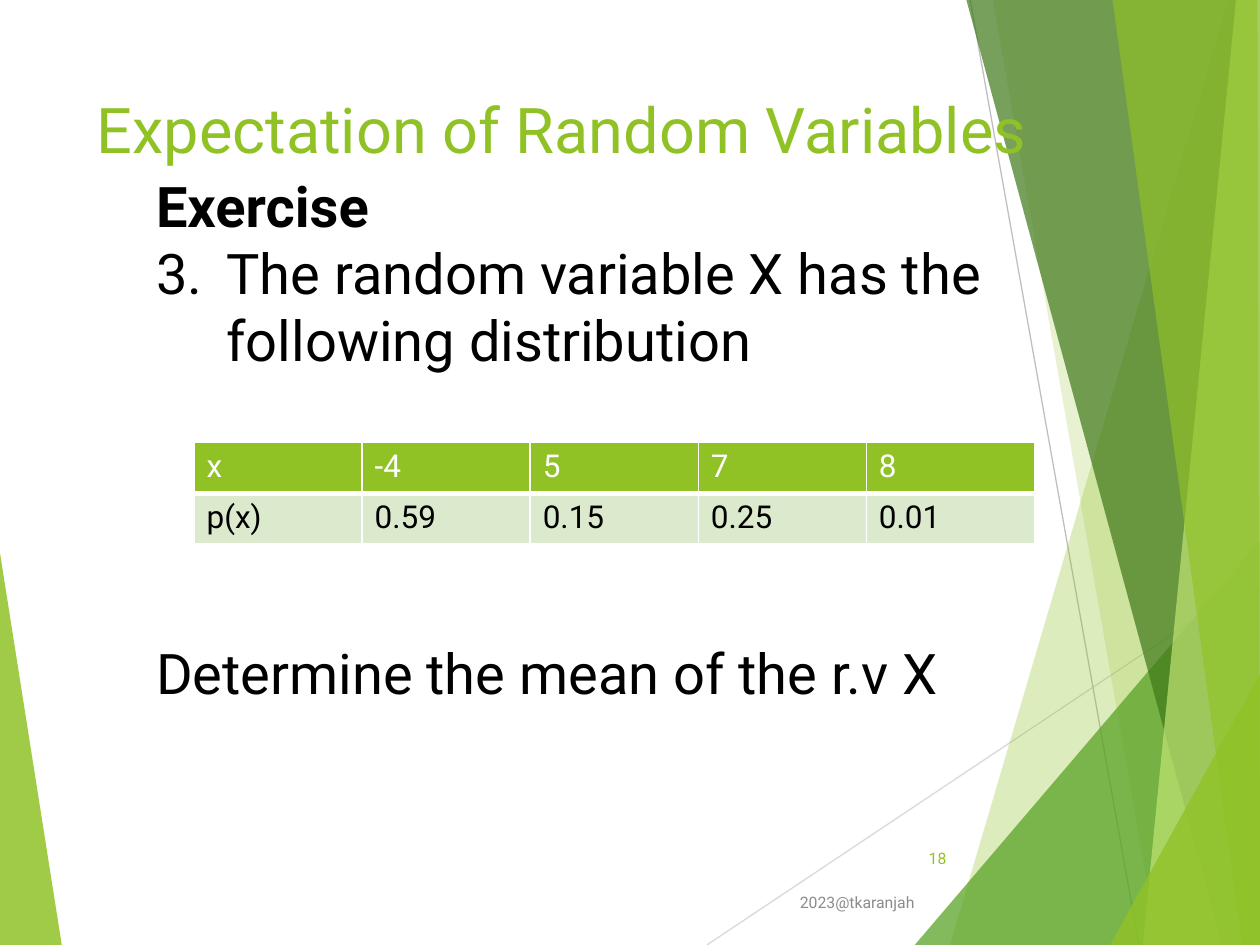
from typing import NamedTuple

from lxml.etree import SubElement
from pptx import Presentation
from pptx.dml.color import RGBColor
from pptx.enum.shapes import MSO_CONNECTOR
from pptx.enum.text import MSO_ANCHOR, PP_ALIGN
from pptx.oxml.ns import qn
from pptx.util import Emu, Inches, Pt

FONT = "Roboto"
HUES = {
    "lime": "90C226", "green": "54A021", "dark": "3F7819", "pale": "C0E474",
    "tint": "DBE9CD", "mist": "D9D9D9", "gray": "BFBFBF", "foot": "8C8C8C",
    "black": "000000", "white": "FFFFFF",
}

deck = Presentation()
deck.slide_width, deck.slide_height = Inches(10), Inches(7.5)
slide = deck.slides.add_slide(deck.slide_layouts[6])
shapes = slide.shapes


# Places are percentages of the slide's width and height
class Facet(NamedTuple):
    points: list[tuple[float, float]]
    hue: str
    alpha: int


class Ray(NamedTuple):
    start: tuple[float, float]
    end: tuple[float, float]
    hue: str


class Box(NamedTuple):
    left: float
    top: float
    width: float
    height: float


class Style(NamedTuple):
    size: int
    hue: str
    bold: bool = False


def color(hue: str) -> RGBColor:
    return RGBColor.from_string(HUES[hue])


def across(share: float) -> Emu:
    return Emu(round(deck.slide_width * share / 100))


def down(share: float) -> Emu:
    return Emu(round(deck.slide_height * share / 100))


def place(box: Box) -> tuple[Emu, Emu, Emu, Emu]:
    return across(box.left), down(box.top), across(box.width), down(box.height)


def draw_facet(facet: Facet) -> None:
    first, *rest = [(across(x), down(y)) for x, y in facet.points]
    pen = shapes.build_freeform(*first)
    pen.add_line_segments(rest, close=True)
    shape = pen.convert_to_shape()
    shape.shadow.inherit = False
    shape.line.fill.background()
    shape.fill.solid()
    shape.fill.fore_color.rgb = color(facet.hue)
    tone = next(shape.element.iter(qn("a:srgbClr")))
    SubElement(tone, qn("a:alpha"), val=str(facet.alpha * 1000))


def draw_ray(ray: Ray) -> None:
    (x1, y1), (x2, y2) = ray.start, ray.end
    line = shapes.add_connector(
        MSO_CONNECTOR.STRAIGHT, across(x1), down(y1), across(x2), down(y2))
    line.line.color.rgb = color(ray.hue)
    line.line.width = Pt(0.75)
    SubElement(line.element.spPr, qn("a:effectLst"))


def add_run(para, text: str, style: Style) -> None:
    run = para.add_run()
    run.text = text
    run.font.name = FONT
    run.font.size = Pt(style.size)
    run.font.bold = style.bold
    run.font.color.rgb = color(style.hue)


def add_frame(box: Box, anchor=MSO_ANCHOR.TOP):
    frame = shapes.add_textbox(*place(box)).text_frame
    frame.word_wrap = True
    frame.vertical_anchor = anchor
    return frame


def set_number(para, start: int, indent: float) -> None:
    props = para._p.get_or_add_pPr()
    props.set("marL", str(Inches(indent)))
    props.set("indent", str(-Inches(indent)))
    SubElement(props, qn("a:buFont"), typeface="+mj-lt")
    SubElement(props, qn("a:buAutoNum"), type="arabicPeriod", startAt=str(start))


def set_edge(cell, side: str, points: int) -> None:
    props = cell._tc.get_or_add_tcPr()
    edge = SubElement(props, qn(f"a:ln{side}"), w=str(Pt(points)))
    fill = SubElement(edge, qn("a:solidFill"))
    SubElement(fill, qn("a:srgbClr"), val=HUES["white"])


def draw_table(box: Box, rows: list[list[str]]) -> None:
    grid = shapes.add_table(len(rows), len(rows[0]), *place(box)).table
    grid.horz_banding = False
    looks = [("lime", "white"), ("tint", "black")]
    for r, (row, (back, ink)) in enumerate(zip(rows, looks)):
        for c, text in enumerate(row):
            cell = grid.cell(r, c)
            for side in "LRTB":
                inner = (r, side) in [(0, "B"), (1, "T")]
                set_edge(cell, side, 3 if inner else 1)
            cell.fill.solid()
            cell.fill.fore_color.rgb = color(back)
            add_run(cell.text_frame.paragraphs[0], text, Style(18, ink))


# Backdrop of facets and thin rays
backdrop = [
    Facet([(0, 58.53), (4.9, 100), (0, 100)], "lime", 85),
    Ray((56.1, 100), (100, 60.93), "mist"),
    Ray((77, 0), (90.4, 100), "gray"),
    Facet([(97.5, 0), (75.4, 100), (100, 100), (100, 0)], "lime", 30),
    Facet([(78.8, 0), (91.9, 100), (100, 100), (100, 0)], "lime", 20),
    Facet([(72.6, 100), (100, 57.2), (100, 100)], "green", 72),
    Facet([(76.7, 0), (97, 100), (100, 100), (100, 0)], "dark", 70),
    Facet([(98.1, 0), (90.7, 100), (100, 100), (100, 0)], "pale", 70),
    Facet([(88.3, 0), (98.6, 100), (100, 100), (99.8, 0)], "lime", 65),
    Facet([(88.1, 100), (100, 71.33), (100, 100)], "lime", 80),
]
for part in backdrop:
    if isinstance(part, Ray):
        draw_ray(part)
    else:
        draw_facet(part)

# Title
title = add_frame(Box(6.7, 8.93, 80.3, 19.2))
add_run(title.paragraphs[0], "Expectation of Random Variables", Style(36, "lime"))

# Exercise text, with room for the table before the last line
body = add_frame(Box(11.4, 17.47, 82.7, 58.8))
plain = Style(32, "black")
add_run(body.paragraphs[0], "Exercise", Style(32, "black", True))
task = body.add_paragraph()
set_number(task, 3, 0.56)
add_run(task, "The random variable X has the following distribution", plain)
ask = body.add_paragraph()
ask.space_before = Pt(152)
add_run(ask, "Determine the mean of the r.v X", plain)

# Distribution table
draw_table(Box(15.4, 46.8, 66.7, 10.8), [
    ["x", "-4", "5", "7", "8"],
    ["p(x)", "0.59", "0.15", "0.25", "0.01"],
])

# Page number and footer
page = add_frame(Box(70.5, 88.13, 5.6, 5.33), MSO_ANCHOR.MIDDLE)
page.paragraphs[0].alignment = PP_ALIGN.RIGHT
add_run(page.paragraphs[0], "18", Style(9, "lime"))
foot = add_frame(Box(62.5, 92, 31.7, 6.93), MSO_ANCHOR.MIDDLE)
add_run(foot.paragraphs[0], "2023@tkaranjah", Style(9, "foot"))

deck.save("out.pptx")
